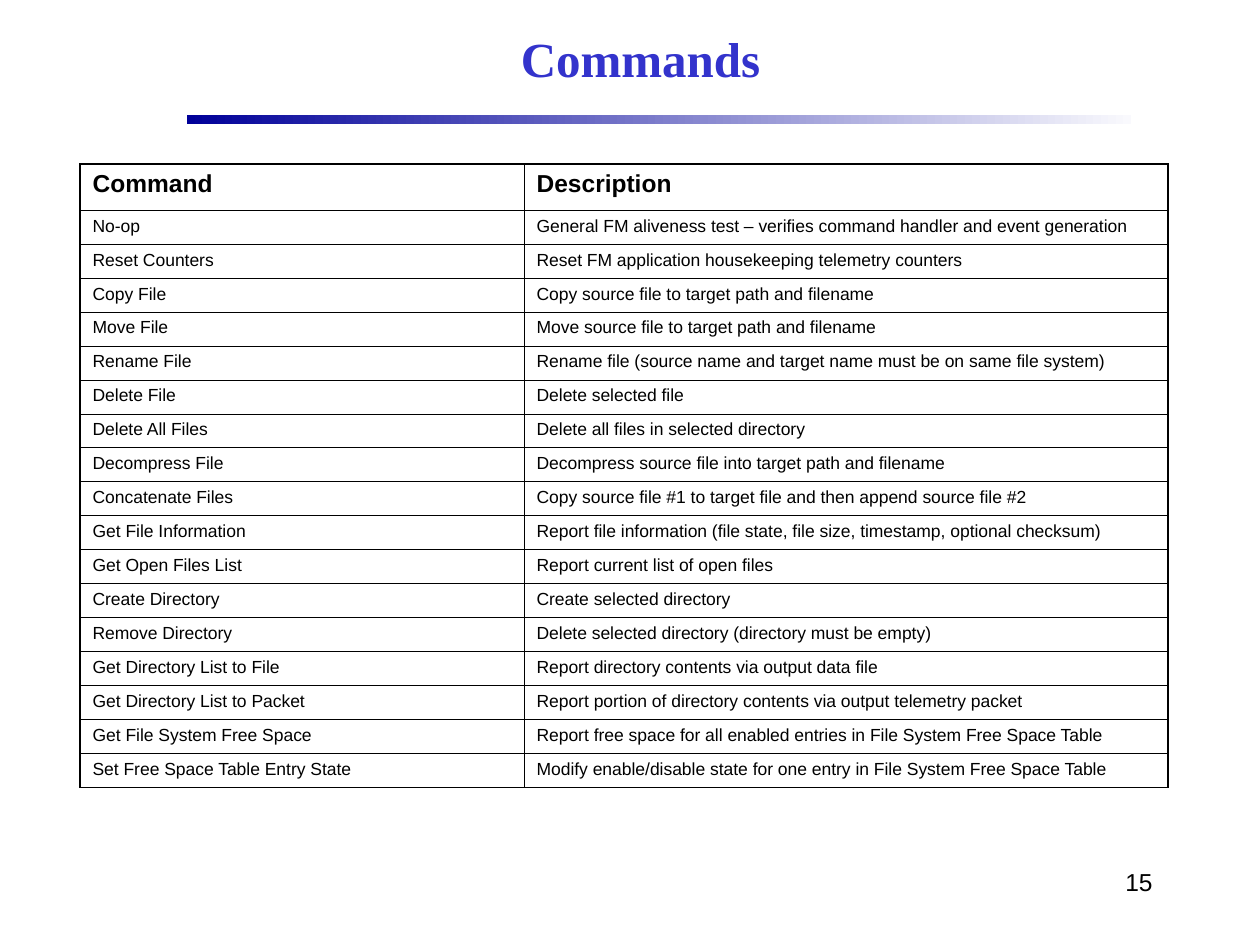
from lxml.etree import SubElement
from pptx import Presentation
from pptx.dml.color import RGBColor
from pptx.enum.shapes import MSO_SHAPE
from pptx.enum.text import MSO_ANCHOR, PP_ALIGN
from pptx.oxml.ns import qn
from pptx.util import Emu, Pt

PX_PER_INCH = 126
COLORS = {
    "title": "3333CC",
    "text": "000000",
    "border": "000000",
    "bar_start": "000099",
    "bar_end": "F9F9FD",
}
THIN, THICK = 0.45, 1.08

HEADER = ("Command", "Description")
COMMANDS = [
    ("No-op", "General FM aliveness test – verifies command handler and event generation"),
    ("Reset Counters", "Reset FM application housekeeping telemetry counters"),
    ("Copy File", "Copy source file to target path and filename"),
    ("Move File", "Move source file to target path and filename"),
    ("Rename File", "Rename file (source name and target name must be on same file system)"),
    ("Delete File", "Delete selected file"),
    ("Delete All Files", "Delete all files in selected directory"),
    ("Decompress File", "Decompress source file into target path and filename"),
    ("Concatenate Files", "Copy source file #1 to target file and then append source file #2"),
    ("Get File Information",
     "Report file information (file state, file size, timestamp, optional checksum)"),
    ("Get Open Files List", "Report current list of open files"),
    ("Create Directory", "Create selected directory"),
    ("Remove Directory", "Delete selected directory (directory must be empty)"),
    ("Get Directory List to File", "Report directory contents via output data file"),
    ("Get Directory List to Packet",
     "Report portion of directory contents via output telemetry packet"),
    ("Get File System Free Space",
     "Report free space for all enabled entries in File System Free Space Table"),
    ("Set Free Space Table Entry State",
     "Modify enable/disable state for one entry in File System Free Space Table"),
]


def px(length):
    return Emu(round(length * 914400 / PX_PER_INCH))


class SlideBuilder:
    """Holds the style and the current slide."""

    def __init__(self, slide, font="Arial"):
        self.slide = slide
        self.font = font

    def set_text(self, frame, text, size, color="text", bold=False, font=None,
                 align=PP_ALIGN.LEFT, space_before=0):
        frame.text = text
        para = frame.paragraphs[0]
        para.alignment = align
        para.space_before = Pt(space_before)
        span = para.runs[0].font
        span.name = font or self.font
        span.size = Pt(size)
        span.bold = bold
        span.color.rgb = RGBColor.from_string(COLORS[color])

    def text(self, left, top, width, height, text, size,
             anchor=MSO_ANCHOR.TOP, **style):
        box = self.slide.shapes.add_textbox(px(left), px(top), px(width), px(height))
        box.text_frame.word_wrap = True
        box.text_frame.vertical_anchor = anchor
        self.set_text(box.text_frame, text, size, **style)

    def gradient_bar(self, left, top, width, height, start, end):
        bar = self.slide.shapes.add_shape(
            MSO_SHAPE.RECTANGLE, px(left), px(top), px(width), px(height))
        bar.shadow.inherit = False
        bar.line.fill.background()
        bar.fill.gradient()
        bar.fill.gradient_angle = 0
        for stop, color in zip(bar.fill.gradient_stops, (start, end)):
            stop.color.rgb = RGBColor.from_string(COLORS[color])

    def borders(self, cell, outer_sides):
        properties = cell._tc.get_or_add_tcPr()
        for side in "LRTB":
            width = THICK if side in outer_sides else THIN
            line = SubElement(properties, qn(f"a:ln{side}"), w=str(Pt(width)))
            fill = SubElement(line, qn("a:solidFill"))
            SubElement(fill, qn("a:srgbClr"), val=COLORS["border"])

    def table(self, left, top, column_widths, header_height, row_height, header, rows):
        contents = [header, *rows]
        last_row, last_column = len(contents) - 1, len(header) - 1
        height = header_height + row_height * len(rows)
        table = self.slide.shapes.add_table(
            len(contents), len(header), px(left), px(top),
            px(sum(column_widths)), px(height)).table
        table.first_row = table.horz_banding = False
        for column, width in zip(table.columns, column_widths):
            column.width = px(width)
        for r, values in enumerate(contents):
            is_header = r == 0
            table.rows[r].height = px(header_height if is_header else row_height)
            for c, value in enumerate(values):
                cell = table.cell(r, c)
                self.set_text(cell.text_frame, value, 14 if is_header else 10,
                              bold=is_header, space_before=6.1 if is_header else 4.4)
                edges = {"L": c == 0, "R": c == last_column,
                         "T": is_header, "B": r == last_row}
                self.borders(cell, [side for side, outer in edges.items() if outer])
                cell.fill.background()


def main():
    deck = Presentation()
    deck.slide_width, deck.slide_height = px(1260), px(945)
    page = SlideBuilder(deck.slides.add_slide(deck.slide_layouts[6]))

    # Title and the bar under it
    page.gradient_bar(187, 115, 944, 9, "bar_start", "bar_end")
    page.text(189, 10, 903, 95, "Commands", 28, anchor=MSO_ANCHOR.MIDDLE,
              color="title", bold=True, font="Times New Roman", align=PP_ALIGN.CENTER)

    # Command table
    page.table(80, 164, (444, 644), 46, 34, HEADER, COMMANDS)

    # Page number
    page.text(903, 861, 262, 63, "15", 14, align=PP_ALIGN.RIGHT)

    deck.save("out.pptx")


if __name__ == "__main__":
    main()
